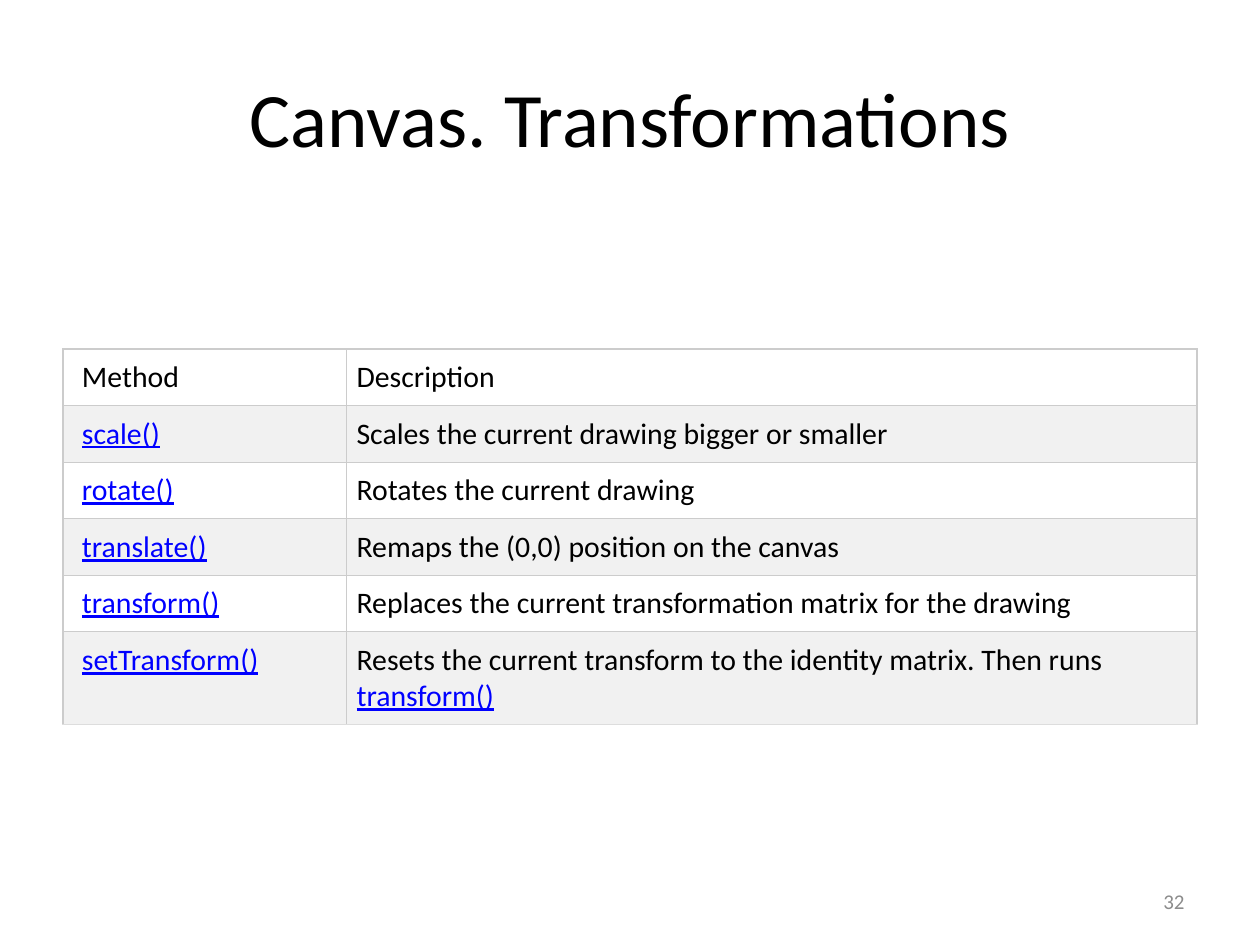
from dataclasses import dataclass

from lxml.etree import SubElement
from pptx import Presentation
from pptx.dml.color import RGBColor
from pptx.enum.text import MSO_ANCHOR, PP_ALIGN
from pptx.oxml.ns import qn
from pptx.util import Inches, Pt


@dataclass(frozen=True)
class Theme:
    font: str = "Calibri"
    ink: str = "000000"
    link: str = "0000FF"
    muted: str = "8C8C8C"
    bands: tuple = ("FFFFFF", "F1F1F1")
    rule: str = "CCCCCC"
    base: str = "DDDDDD"
    title: float = 44
    body: float = 17
    small: float = 12
    line: float = 0.75


THEME = Theme()

# Each description is a list of (text, is link) runs
METHODS = [
    ("scale()", [("Scales the current drawing bigger or smaller", False)]),
    ("rotate()", [("Rotates the current drawing", False)]),
    ("translate()", [("Remaps the (0,0) position on the canvas", False)]),
    ("transform()", [("Replaces the current transformation matrix for the drawing", False)]),
    ("setTransform()", [
        ("Resets the current transform to the identity matrix. Then runs ", False),
        ("transform()", True),
    ]),
]


def add_run(para, text, size, color, line=False):
    run = para.add_run()
    run.text = text
    font = run.font
    font.name, font.size = THEME.font, Pt(size)
    font.color.rgb = RGBColor.from_string(color)
    font.underline = line


def place(shape, box):
    shape.left, shape.top, shape.width, shape.height = map(Inches, box)


def add_title(slide, box, text):
    title = slide.shapes.title
    place(title, box)
    frame = title.text_frame
    frame.vertical_anchor = MSO_ANCHOR.MIDDLE
    para = frame.paragraphs[0]
    para.alignment = PP_ALIGN.CENTER
    add_run(para, text, THEME.title, THEME.ink)


def add_edges(cell, base):
    props = cell._tc.get_or_add_tcPr()
    for side in "LRTB":
        edge = SubElement(props, qn(f"a:ln{side}"), w=str(Pt(THEME.line)))
        fill = SubElement(edge, qn("a:solidFill"))
        SubElement(fill, qn("a:srgbClr"), val=base if side == "B" else THEME.rule)


def fill_cell(cell, runs, left, band, base):
    cell.margin_left = Inches(left)
    cell.margin_right = cell.margin_top = cell.margin_bottom = Inches(0.08)
    add_edges(cell, base)
    cell.fill.solid()
    cell.fill.fore_color.rgb = RGBColor.from_string(band)
    para = cell.text_frame.paragraphs[0]
    for text, link in runs:
        add_run(para, text, THEME.body, THEME.link if link else THEME.ink, link)


def add_methods(slide, box):
    rows = [([("Method", False)], [("Description", False)])]
    rows += [([(name, True)], about) for name, about in METHODS]
    last = len(rows) - 1
    table = slide.shapes.add_table(len(rows), 2, *map(Inches, box)).table

    # A quarter for the names; the last row is two lines high
    width, height = box[2:]
    tall = 0.71
    for col, share in zip(table.columns, (0.25, 0.75)):
        col.width = Inches(width * share)
    for i, row in enumerate(table.rows):
        row.height = Inches(tall if i == last else (height - tall) / last)

    for i, row in enumerate(rows):
        base = THEME.base if i == last else THEME.rule
        for j, (runs, left) in enumerate(zip(row, (0.15, 0.08))):
            fill_cell(table.cell(i, j), runs, left, THEME.bands[i % 2], base)


def add_number(slide, box, text):
    frame = slide.shapes.add_textbox(*map(Inches, box)).text_frame
    frame.word_wrap = True
    frame.vertical_anchor = MSO_ANCHOR.MIDDLE
    para = frame.paragraphs[0]
    para.alignment = PP_ALIGN.RIGHT
    add_run(para, text, THEME.small, THEME.muted)


def main():
    deck = Presentation()
    deck.slide_width, deck.slide_height = Inches(10), Inches(7.5)
    slide = deck.slides.add_slide(deck.slide_layouts[5])
    add_title(slide, (0.5, 0.3, 9, 1.25), "Canvas. Transformations")
    add_methods(slide, (0.5, 2.77, 9, 2.91))
    add_number(slide, (7.17, 6.95, 2.33, 0.4), "32")
    deck.save("out.pptx")


if __name__ == "__main__":
    main()
